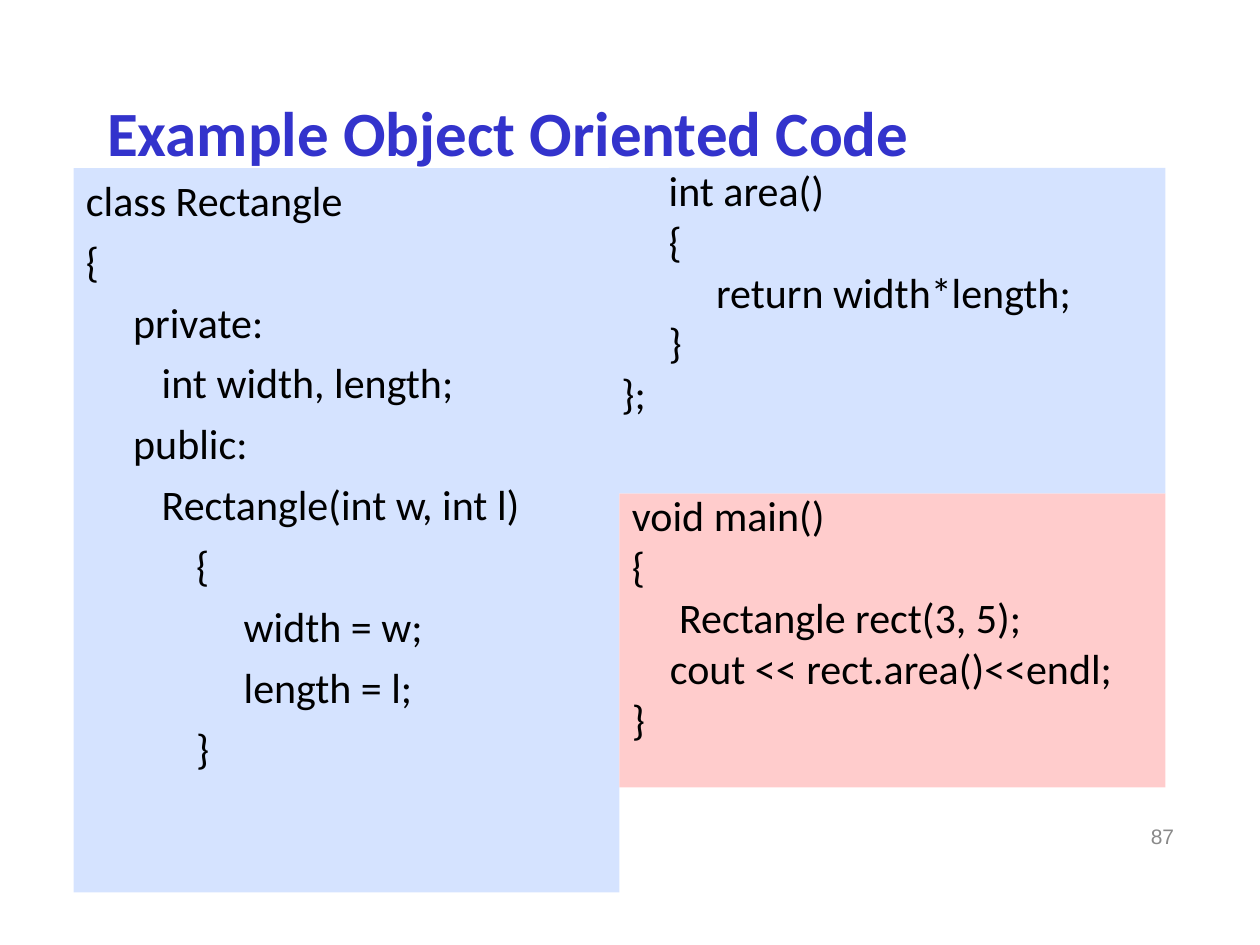
from pptx import Presentation, util as u
from pptx.dml.color import RGBColor
from pptx.enum import shapes, text

PX = 7620  # 120 px to the inch
COLORS = {"blue": "D5E3FF", "red": "FFCCCC", "title": "3333CC",
          "code": "000000", "page": "898989"}


def px(*vals):
    return [u.Emu(v * PX) for v in vals]


def add_run(para, words, size, color, font="Calibri", bold=False):
    run = para.add_run()
    run.text = words
    run.font.name, run.font.size, run.font.bold = font, u.Pt(size), bold
    run.font.color.rgb = RGBColor.from_string(COLORS[color])


prs = Presentation()
prs.slide_width, prs.slide_height = px(1200, 900)
slide = prs.slides.add_slide(prs.slide_layouts[5])

# Page number
page = slide.shapes.add_textbox(*px(850, 772, 280, 48)).text_frame
page.word_wrap = True
page.vertical_anchor = text.MSO_ANCHOR.MIDDLE
page.paragraphs[0].alignment = text.PP_ALIGN.RIGHT
add_run(page.paragraphs[0], "87", 12, "page", "Arial")

# Code panels: box, fill, line spacing, lines
panels = [
    ((70, 160, 520, 690), "blue", 1.0, [
        "class Rectangle",
        "{",
        "\tprivate:",
        "\t   int width, length;",
        "\tpublic:",
        "\t   Rectangle(int w, int l)",
        "\t\t{",
        "\t\t     width = w;",
        "\t\t     length = l;",
        "\t\t}"]),
    ((590, 470, 520, 280), "red", 0.8, [
        "void main()",
        "{",
        "\tRectangle rect(3, 5);",
        "    cout << rect.area()<<endl;",
        "}"]),
    ((580, 160, 530, 310), "blue", 0.8, [
        "\tint area()",
        "\t{",
        "\t     return width*length;",
        "\t}",
        "};"]),
]
for box, fill, space, lines in panels:
    panel = slide.shapes.add_shape(shapes.MSO_SHAPE.RECTANGLE, *px(*box))
    panel.shadow.inherit = False
    panel.fill.solid()
    panel.fill.fore_color.rgb = RGBColor.from_string(COLORS[fill])
    panel.line.fill.background()
    frame = panel.text_frame
    frame.word_wrap = True
    frame.vertical_anchor = text.MSO_ANCHOR.TOP
    for i, line in enumerate(lines):
        para = frame.add_paragraph() if i else frame.paragraphs[0]
        para.alignment = text.PP_ALIGN.LEFT
        para.line_spacing = space
        if i:
            para.space_before = u.Pt(6)
        # Hanging indent: the first tab lands on the left margin
        props = para._p.get_or_add_pPr()
        props.set("marL", str(45 * PX))
        props.set("indent", str(-45 * PX))
        add_run(para, line, 24, "code")

# Title
title = slide.shapes.title
title.left, title.top, title.width, title.height = px(90, 90, 1020, 70)
frame = title.text_frame
frame.word_wrap = True
frame.auto_size = text.MSO_AUTO_SIZE.NONE
frame.vertical_anchor = text.MSO_ANCHOR.MIDDLE
frame.paragraphs[0].alignment = text.PP_ALIGN.LEFT
add_run(frame.paragraphs[0], "Example Object Oriented Code", 36, "title", bold=True)

prs.save("out.pptx")
